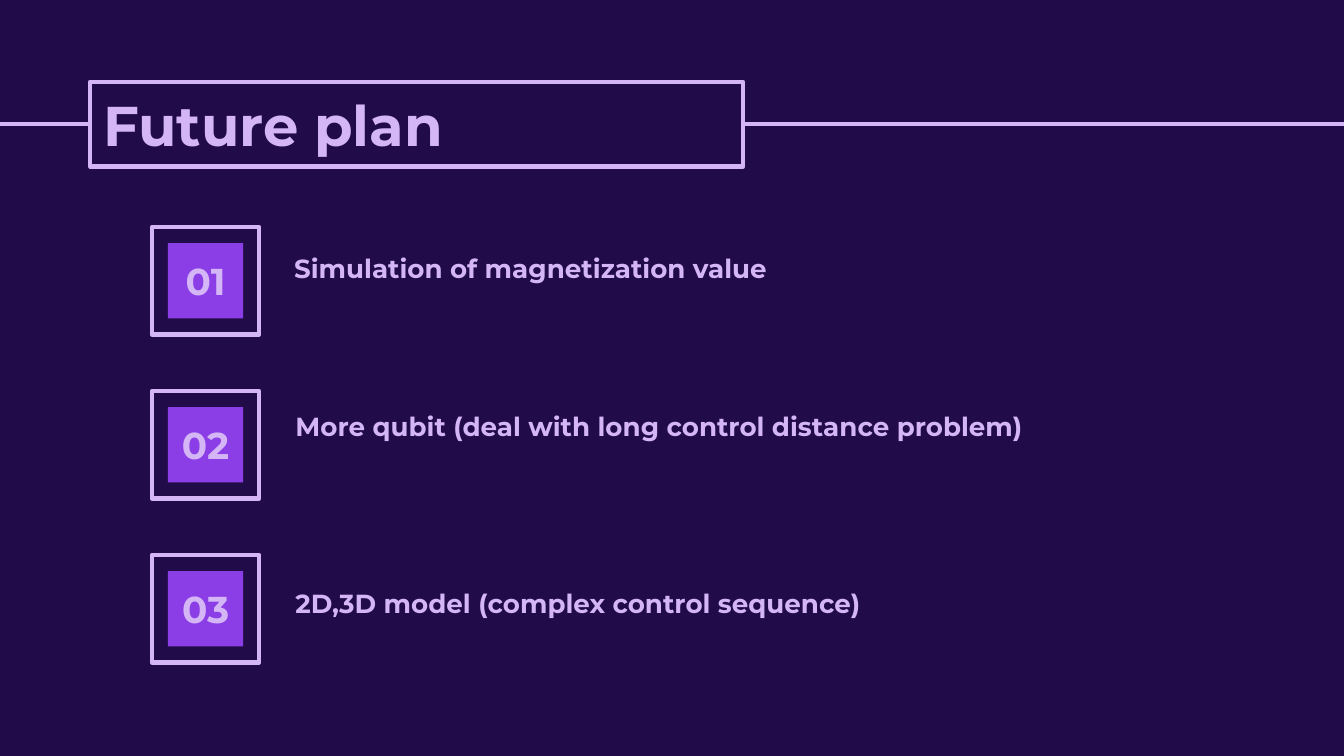
from lxml.etree import SubElement
from pptx import Presentation
from pptx.dml.color import RGBColor
from pptx.enum.shapes import MSO_CONNECTOR, MSO_SHAPE
from pptx.enum.text import MSO_ANCHOR as Anchor, PP_ALIGN as Align
from pptx.oxml.ns import qn
from pptx.util import Inches, Pt

COLORS = {"night": "220B49", "lilac": "D4B6F6", "violet": "8C3EE6"}

deck = Presentation()
deck.slide_width = Inches(10)
deck.slide_height = Inches(10 * 9 / 16)
slide = deck.slides.add_slide(deck.slide_layouts[6])
slide.background.fill.solid()
slide.background.fill.fore_color.rgb = RGBColor.from_string(COLORS["night"])


def add_box(left, top, width, height, fill=None, outlined=False):
    box = slide.shapes.add_shape(
        MSO_SHAPE.RECTANGLE, Inches(left), Inches(top), Inches(width), Inches(height)
    )
    box.shadow.inherit = False
    if fill:
        box.fill.solid()
        box.fill.fore_color.rgb = RGBColor.from_string(COLORS[fill])
    else:
        box.fill.background()
    if outlined:
        box.line.color.rgb = RGBColor.from_string(COLORS["lilac"])
        box.line.width = Pt(2.25)
    else:
        box.line.fill.background()
    return box


def write(shape, text, size, anchor=Anchor.MIDDLE, align=Align.LEFT):
    frame = shape.text_frame
    frame.word_wrap = True
    frame.vertical_anchor = anchor
    frame.margin_left = frame.margin_right = Inches(0.1)
    frame.margin_top = frame.margin_bottom = Inches(0.1)
    paragraph = frame.paragraphs[0]
    paragraph.text = text
    paragraph.alignment = align
    paragraph.font.name = "Montserrat"
    paragraph.font.size = Pt(size)
    paragraph.font.bold = True
    paragraph.font.color.rgb = RGBColor.from_string(COLORS["lilac"])


rule = slide.shapes.add_connector(
    MSO_CONNECTOR.STRAIGHT, Inches(-0.06), Inches(0.92), Inches(10), Inches(0.92)
)
rule.line.color.rgb = RGBColor.from_string(COLORS["lilac"])
rule.line.width = Pt(2.25)
SubElement(rule._element.spPr, qn("a:effectLst"))

title = add_box(0.67, 0.61, 4.86, 0.63, "night", outlined=True)
write(title, "Future plan", 30)

plans = [
    ("Simulation of magnetization value", 2.09, 1.78, 3.89, 0.46),
    ("More qubit (deal with long control distance problem)", 2.1, 2.95, 6.43, 0.72),
    ("2D,3D model (complex control sequence)", 2.1, 4.27, 4.75, 0.46),
]
for index, (plan, left, top, width, height) in enumerate(plans):
    frame_top = 1.69 + 1.22 * index
    add_box(1.13, frame_top, 0.8, 0.8, outlined=True)
    add_box(1.25, frame_top + 0.12, 0.56, 0.56, "violet")

    number = slide.shapes.add_textbox(
        Inches(1.13), Inches(frame_top + 0.21), Inches(0.8), Inches(0.38)
    )
    write(number, f"{index + 1:02}", 20, align=Align.CENTER)

    label = slide.shapes.add_textbox(
        Inches(left), Inches(top), Inches(width), Inches(height)
    )
    write(label, plan, 14, Anchor.TOP)

deck.save("out.pptx")
